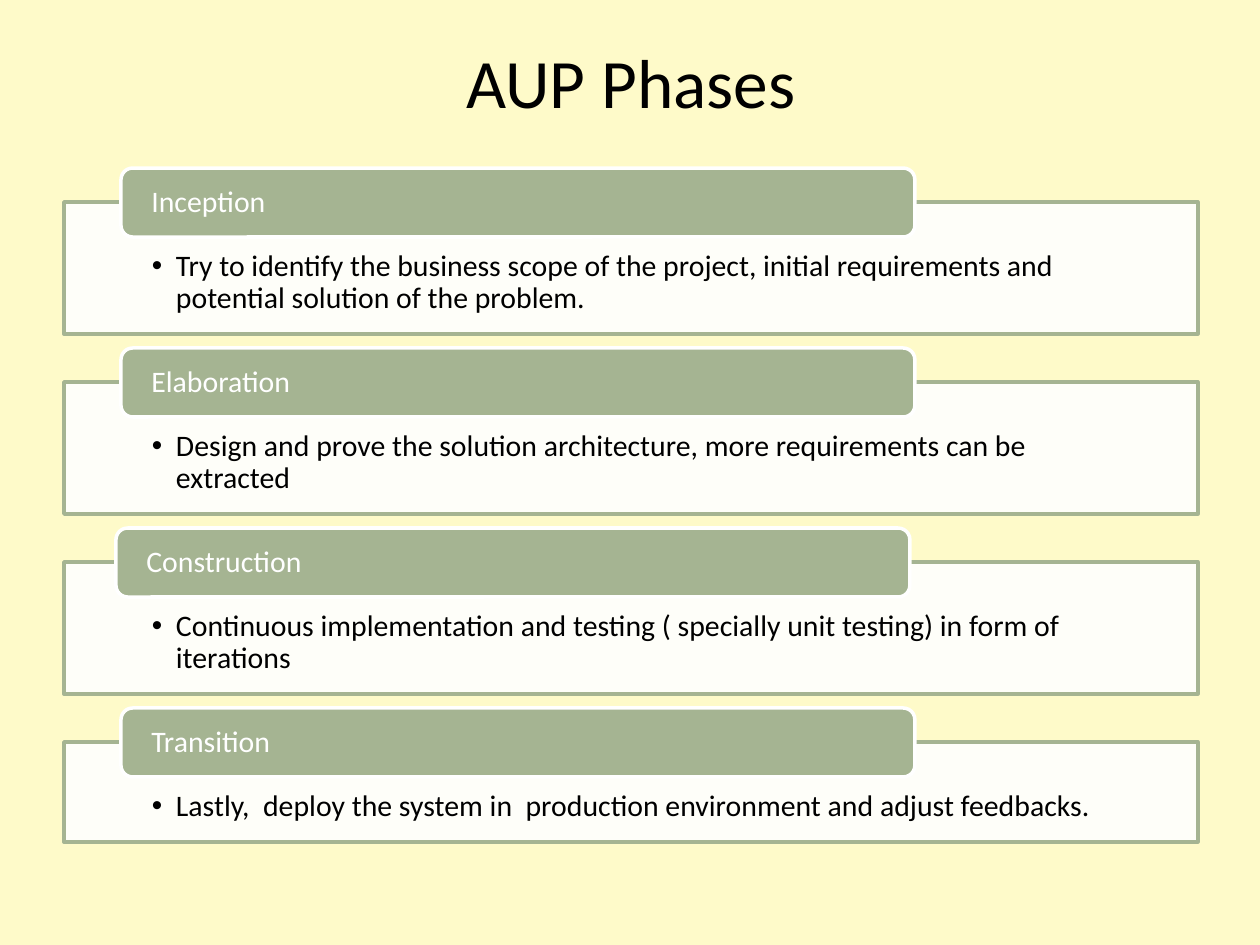
import dataclasses

import lxml.etree
import pptx
import pptx.dml.color
import pptx.enum.shapes
import pptx.enum.text
import pptx.oxml.ns
import pptx.util

EMU_PER_PX = 914400 / 126


@dataclasses.dataclass(frozen=True)
class Theme:
    font: str = "Calibri"
    background: str = "FEFAC9"
    ink: str = "000000"
    accent: str = "A5B492"
    paper: str = "FFFFFF"
    paper_opacity: int = 89
    line_width: int = 2
    title_size: float = 39.6
    body_size: int = 17


THEME = Theme()

# Layout in px
LEFT, WIDTH = 64, 1134
FIRST_PANEL_TOP, PHASE_PITCH = 202, 180
LABEL_WIDTH, LABEL_HEIGHT, LABEL_RISE = 794, 69, 34
BULLET_INDENT = 24

# Phase name, description, panel height, label left
PHASES = [
    ("Inception", "Try to identify the business scope of the project, initial "
     "requirements and potential solution of the problem.", 132, 121),
    ("Elaboration", "Design and prove the solution architecture, more "
     "requirements can be extracted", 132, 121),
    ("Construction", "Continuous implementation and testing ( specially unit "
     "testing) in form of iterations", 132, 116),
    ("Transition", "Lastly,  deploy the system in  production environment and "
     "adjust feedbacks.", 100, 121),
]


def px(length):
    return pptx.util.Emu(round(length * EMU_PER_PX))


def rgb(color):
    return pptx.dml.color.RGBColor.from_string(color)


def add_child(parent, tag, **attributes):
    child = lxml.etree.SubElement(parent, pptx.oxml.ns.qn(tag))
    for name, value in attributes.items():
        child.set(name, str(value))
    return child


def set_frame(frame, anchor, insets):
    frame.word_wrap = True
    frame.vertical_anchor = anchor
    (frame.margin_left, frame.margin_top,
     frame.margin_right, frame.margin_bottom) = map(px, insets)


def write(paragraph, text, size, color, align):
    paragraph.alignment = align
    run = paragraph.add_run()
    run.text = text
    run.font.name = THEME.font
    run.font.size = pptx.util.Pt(size)
    run.font.color.rgb = rgb(color)


def add_box(slide, kind, bounds, fill, line):
    box = slide.shapes.add_shape(kind, *map(px, bounds))
    box.shadow.inherit = False
    box.fill.solid()
    box.fill.fore_color.rgb = rgb(fill)
    box.line.color.rgb = rgb(line)
    box.line.width = pptx.util.Pt(THEME.line_width)
    return box


def add_bullet(paragraph):
    paragraph.level = 1
    properties = paragraph._p.get_or_add_pPr()
    properties.set("marL", str(px(BULLET_INDENT)))
    properties.set("indent", str(px(-BULLET_INDENT)))
    bullet_color = add_child(properties, "a:buClr")
    add_child(bullet_color, "a:srgbClr", val=THEME.ink)
    add_child(properties, "a:buFont", typeface="Arial")
    add_child(properties, "a:buChar", char="•")


def add_title(slide, text):
    title = slide.shapes.add_textbox(*map(px, (LEFT, 37, WIDTH, 87)))
    set_frame(title.text_frame, pptx.enum.text.MSO_ANCHOR.MIDDLE, (13, 6, 13, 6))
    write(title.text_frame.paragraphs[0], text, THEME.title_size, THEME.ink,
          pptx.enum.text.PP_ALIGN.CENTER)


def add_panel(slide, top, height, description):
    panel = add_box(slide, pptx.enum.shapes.MSO_SHAPE.RECTANGLE,
                    (LEFT, top, WIDTH, height), THEME.paper, THEME.accent)
    fill_color = panel._element.spPr.find(
        "/".join(map(pptx.oxml.ns.qn, ("a:solidFill", "a:srgbClr"))))
    add_child(fill_color, "a:alpha", val=THEME.paper_opacity * 1000)
    set_frame(panel.text_frame, pptx.enum.text.MSO_ANCHOR.TOP, (88, 49, 88, 16))
    paragraph = panel.text_frame.paragraphs[0]
    add_bullet(paragraph)
    paragraph.line_spacing = 0.9
    write(paragraph, description, THEME.body_size, THEME.ink,
          pptx.enum.text.PP_ALIGN.LEFT)


def add_label(slide, left, top, name):
    label = add_box(slide, pptx.enum.shapes.MSO_SHAPE.ROUNDED_RECTANGLE,
                    (left, top, LABEL_WIDTH, LABEL_HEIGHT),
                    THEME.accent, THEME.paper)
    label.adjustments[0] = 0.17
    set_frame(label.text_frame, pptx.enum.text.MSO_ANCHOR.MIDDLE, (27, 0, 27, 0))
    paragraph = label.text_frame.paragraphs[0]
    paragraph.line_spacing = 0.9
    write(paragraph, name, THEME.body_size, THEME.paper,
          pptx.enum.text.PP_ALIGN.LEFT)


def main():
    deck = pptx.Presentation()
    deck.slide_width, deck.slide_height = px(1260), px(945)
    slide = deck.slides.add_slide(deck.slide_layouts[6])
    slide.background.fill.solid()
    slide.background.fill.fore_color.rgb = rgb(THEME.background)

    add_title(slide, "AUP Phases")

    # Each phase: a panel with its label straddling the top edge
    for index, (name, description, height, label_left) in enumerate(PHASES):
        top = FIRST_PANEL_TOP + index * PHASE_PITCH
        add_panel(slide, top, height, description)
        add_label(slide, label_left, top - LABEL_RISE, name)

    deck.save("out.pptx")


if __name__ == "__main__":
    main()
